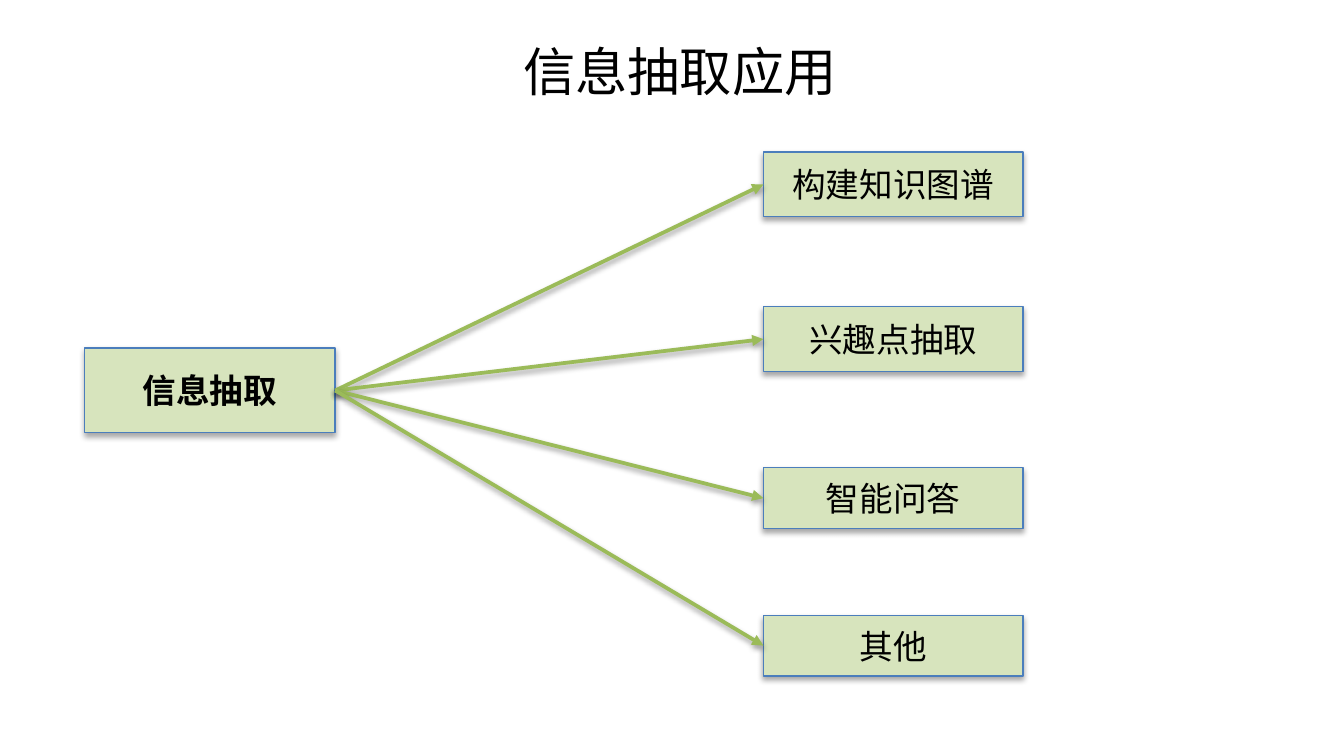
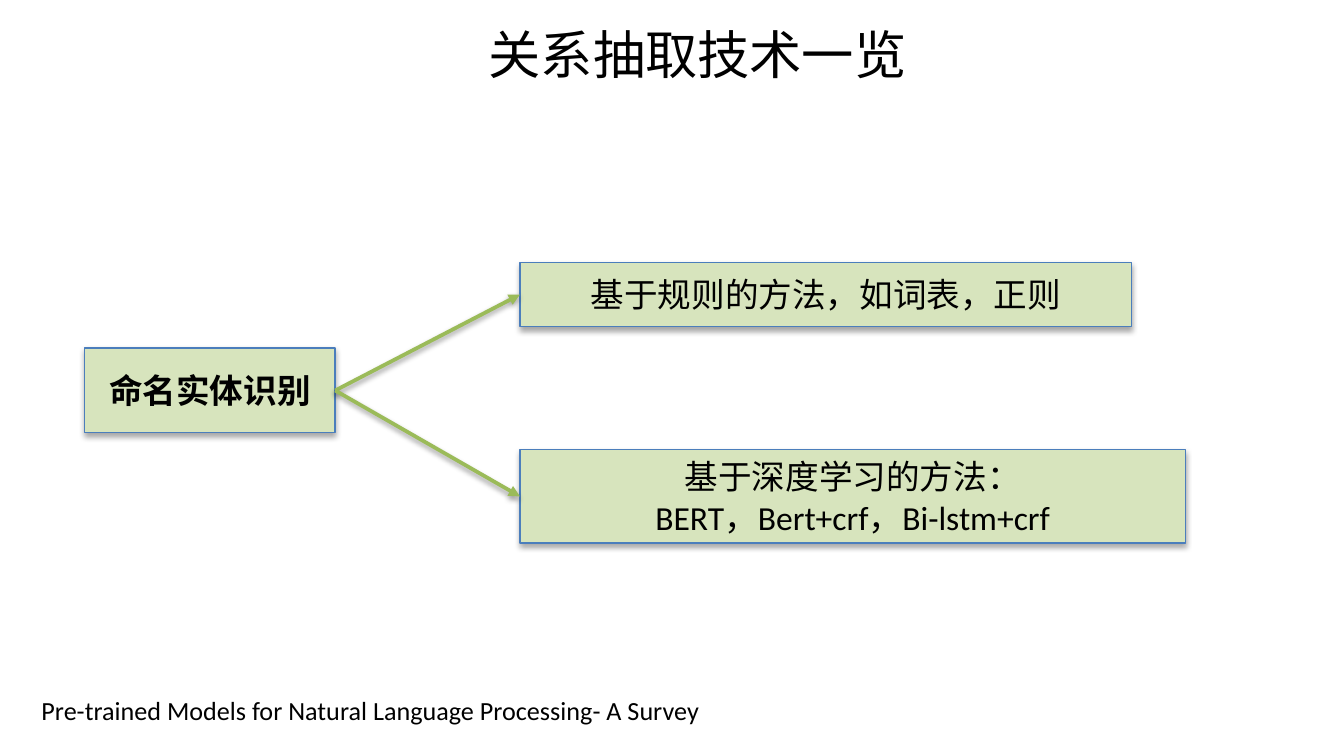
import pptx
import pptx.util
import pptx.dml.color
import pptx.enum.shapes
import pptx.enum.text
import pptx.oxml
import pptx.oxml.ns

Pt = pptx.util.Pt
RGB = pptx.dml.color.RGBColor.from_string
ALIGN = pptx.enum.text.PP_ALIGN
COLORS = {"text": "000000", "box": "D7E4BD", "border": "4B7EBC", "arrow": "9BBB59"}
FONT = "Calibri"
TOPIC = (45.4, 186.5, 134.2, 45.4)

SLIDES = [
    {
        "title": ("信息抽取应用", (154, 17.3, 420.5, 41)),
        "topic": "信息抽取",
        "branches": [
            ("构建知识图谱", (409, 81.5, 139, 34.6)),
            ("兴趣点抽取", (409, 164.2, 139, 35)),
            ("智能问答", (409, 250.6, 139, 32.6)),
            ("其他", (409, 329.6, 139, 32.6)),
        ],
    },
    {
        "title": ("关系抽取技术一览", (112.3, 8.6, 522.7, 41)),
        "topic": "命名实体识别",
        "branches": [
            ("基于规则的方法，如词表，正则", (278.6, 140.6, 327.6, 34.4)),
            ("基于深度学习的方法：\nBERT，Bert+crf，Bi-lstm+crf", (278.6, 241, 356.4, 50)),
        ],
        "source": ("Pre-trained Models for Natural Language Processing- A Survey",
                   (15.1, 368.6, 370.8, 24.5)),
    },
]


def write_text(shape, text, size, align=ALIGN.CENTER, bold=False):
    shape.text_frame.text = text
    for para in shape.text_frame.paragraphs:
        para.alignment = align
        for span in para.runs:
            span.font.name = FONT
            span.font.size = Pt(size)
            span.font.bold = bold
            span.font.color.rgb = RGB(COLORS["text"])


def add_shadow(shape, opacity, distance):
    """Give a shape or connector a soft black shadow straight below it."""
    shape._element.spPr.append(pptx.oxml.parse_xml(
        f'<a:effectLst {pptx.oxml.ns.nsdecls("a")}>'
        f'<a:outerShdw blurRad="{Pt(3.1)}" dist="{Pt(distance)}" dir="5400000" rotWithShape="0">'
        f'<a:srgbClr val="000000"><a:alpha val="{opacity * 1000}"/></a:srgbClr>'
        '</a:outerShdw></a:effectLst>'))


deck = pptx.Presentation()
deck.slide_width, deck.slide_height = Pt(720), Pt(405)

for content in SLIDES:
    page = deck.slides.add_slide(deck.slide_layouts[6])

    text, place = content["title"]
    title = page.shapes.add_textbox(*map(Pt, place))
    title.text_frame.word_wrap = True
    write_text(title, text, 28)

    if "source" in content:
        text, place = content["source"]
        source = page.shapes.add_textbox(*map(Pt, place))
        source.text_frame.word_wrap = False
        write_text(source, text, 14, ALIGN.LEFT)

    boxes = []
    for text, place in [(content["topic"], TOPIC)] + content["branches"]:
        box = page.shapes.add_shape(pptx.enum.shapes.MSO_SHAPE.RECTANGLE, *map(Pt, place))
        box.fill.solid()
        box.fill.fore_color.rgb = RGB(COLORS["box"])
        box.line.color.rgb = RGB(COLORS["border"])
        box.line.width = Pt(0.75)
        add_shadow(box, 35, 1.8)
        box.text_frame.vertical_anchor = pptx.enum.text.MSO_ANCHOR.MIDDLE
        write_text(box, text, 18, bold=not boxes)
        boxes.append(box)

    topic, *branches = boxes
    for branch in branches:
        arrow = page.shapes.add_connector(pptx.enum.shapes.MSO_CONNECTOR.STRAIGHT, 0, 0, 0, 0)
        arrow.begin_connect(topic, 3)
        arrow.end_connect(branch, 1)
        arrow.line.color.rgb = RGB(COLORS["arrow"])
        arrow.line.width = Pt(2)
        arrow.line._get_or_add_ln().append(pptx.oxml.parse_xml(
            f'<a:tailEnd {pptx.oxml.ns.nsdecls("a")} type="triangle"/>'))
        add_shadow(arrow, 38, 1.6)

deck.save("out.pptx")
